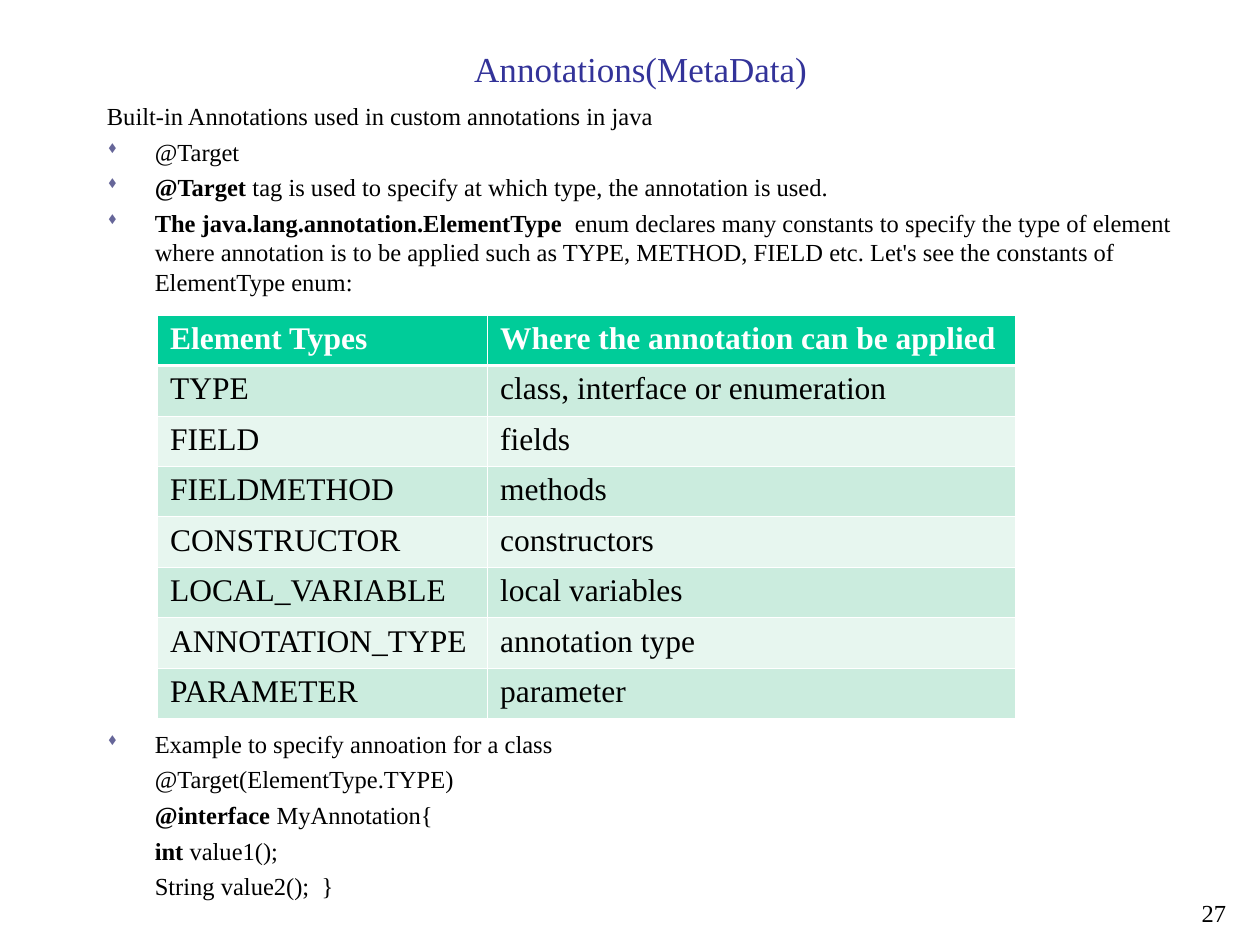
from lxml.etree import SubElement
from pptx import Presentation
from pptx.dml.color import RGBColor
from pptx.enum.text import MSO_ANCHOR, MSO_AUTO_SIZE, PP_ALIGN
from pptx.oxml.ns import qn
from pptx.util import Inches, Pt

FONT = "Times New Roman"
BULLET_FONT = "Wingdings"
LOZENGE = "s"
COLORS = {"title": "333399", "text": "000000", "bullet": "666699", "header": "00CC99",
          "odd": "CBECDE", "even": "E7F6EF", "white": "FFFFFF"}
TITLE = "Annotations(MetaData)"
PAGE_NUMBER = "27"
TABLE_GAP = 247
LINES = [
    ("plain", "", "Built-in Annotations used in custom annotations in java"),
    ("bullet", "", "@Target"),
    ("bullet", "@Target", " tag is used to specify at which type, the annotation is used."),
    ("bullet", "The java.lang.annotation.ElementType  ",
     "enum declares many constants to specify the type of element where annotation is to be "
     "applied such as TYPE, METHOD, FIELD etc. Let's see the constants of ElementType enum:"),
    ("after table", "", "Example to specify annoation for a class"),
    ("code", "", "@Target(ElementType.TYPE)"),
    ("code", "@interface", " MyAnnotation{"),
    ("code", "int", " value1();"),
    ("code", "", "String value2();  }"),
]
ELEMENT_TYPES = [
    ("Element Types", "Where the annotation can be applied"),
    ("TYPE", "class, interface or enumeration"),
    ("FIELD", "fields"),
    ("FIELDMETHOD", "methods"),
    ("CONSTRUCTOR", "constructors"),
    ("LOCAL_VARIABLE", "local variables"),
    ("ANNOTATION_TYPE", "annotation type"),
    ("PARAMETER", "parameter"),
]
COLUMN_WIDTHS = (2.62, 4.19)
ROW_HEIGHT = 0.4


def style(run, size, color="text", bold=False):
    run.font.name = FONT
    run.font.size = Pt(size)
    run.font.bold = bold
    run.font.color.rgb = RGBColor.from_string(COLORS[color])


def add_box(slide, left, top, width, height):
    frame = slide.shapes.add_textbox(*map(Inches, (left, top, width, height))).text_frame
    frame.word_wrap = True
    return frame


def add_bullet(properties):
    color = SubElement(properties, qn("a:buClr"))
    SubElement(color, qn("a:srgbClr"), val=COLORS["bullet"])
    SubElement(properties, qn("a:buFont"), typeface=BULLET_FONT, pitchFamily="2", charset="2")
    SubElement(properties, qn("a:buChar"), char=LOZENGE)


def add_borders(cell, row):
    properties = cell._tc.get_or_add_tcPr()
    thick_side = {0: "lnB", 1: "lnT"}.get(row)
    for side in ("lnL", "lnR", "lnT", "lnB"):
        width = 1.47 if side == thick_side else 0.45
        line = SubElement(properties, qn(f"a:{side}"), w=str(int(Pt(width))))
        fill = SubElement(line, qn("a:solidFill"))
        SubElement(fill, qn("a:srgbClr"), val=COLORS["white"])


def add_title(slide):
    title = slide.shapes.title
    title.left, title.top, title.width, title.height = map(Inches, (0.67, 0.17, 8.83, 0.75))
    frame = title.text_frame
    frame.text = TITLE
    frame.auto_size = MSO_AUTO_SIZE.NONE
    frame.vertical_anchor = MSO_ANCHOR.MIDDLE
    frame.paragraphs[0].alignment = PP_ALIGN.CENTER
    style(frame.paragraphs[0].runs[0], 20, "title")


def add_body(slide):
    frame = add_box(slide, 0.75, 0.75, 8.92, 6.42)
    for index, (kind, lead, rest) in enumerate(LINES):
        paragraph = frame.add_paragraph() if index else frame.paragraphs[0]
        properties = paragraph._p.get_or_add_pPr()
        if kind != "plain":
            properties.set("marL", str(Inches(0.38)))
        if kind in ("bullet", "after table"):
            properties.set("indent", str(Inches(-0.38)))
            add_bullet(properties)
        paragraph.line_spacing = Pt(16.9)
        if index:
            paragraph.space_before = Pt(TABLE_GAP if kind == "after table" else 3.5)
        for text, bold in ((lead, True), (rest, False)):
            if text:
                run = paragraph.add_run()
                run.text = text
                style(run, 14, bold=bold)


def add_element_table(slide):
    table = slide.shapes.add_table(
        len(ELEMENT_TYPES), len(COLUMN_WIDTHS), Inches(1.25), Inches(2.5),
        Inches(sum(COLUMN_WIDTHS)), Inches(ROW_HEIGHT * len(ELEMENT_TYPES))).table
    for column, width in zip(table.columns, COLUMN_WIDTHS):
        column.width = Inches(width)
    for row, texts in enumerate(ELEMENT_TYPES):
        table.rows[row].height = Inches(ROW_HEIGHT)
        fill = "header" if row == 0 else "odd" if row % 2 else "even"
        for column, text in enumerate(texts):
            cell = table.cell(row, column)
            cell.text_frame.text = text
            style(cell.text_frame.paragraphs[0].runs[0], 18,
                  "text" if row else "white", bold=row == 0)
            add_borders(cell, row)
            cell.fill.solid()
            cell.fill.fore_color.rgb = RGBColor.from_string(COLORS[fill])


def add_page_number(slide):
    frame = add_box(slide, 9, 7.08, 0.83, 0.25)
    frame.text = PAGE_NUMBER
    frame.paragraphs[0].alignment = PP_ALIGN.RIGHT
    style(frame.paragraphs[0].runs[0], 14)


def main():
    deck = Presentation()
    deck.slide_width, deck.slide_height = Inches(10), Inches(7.5)
    slide = deck.slides.add_slide(deck.slide_layouts[5])
    add_title(slide)
    add_body(slide)
    add_page_number(slide)
    add_element_table(slide)
    deck.save("out.pptx")


if __name__ == "__main__":
    main()
